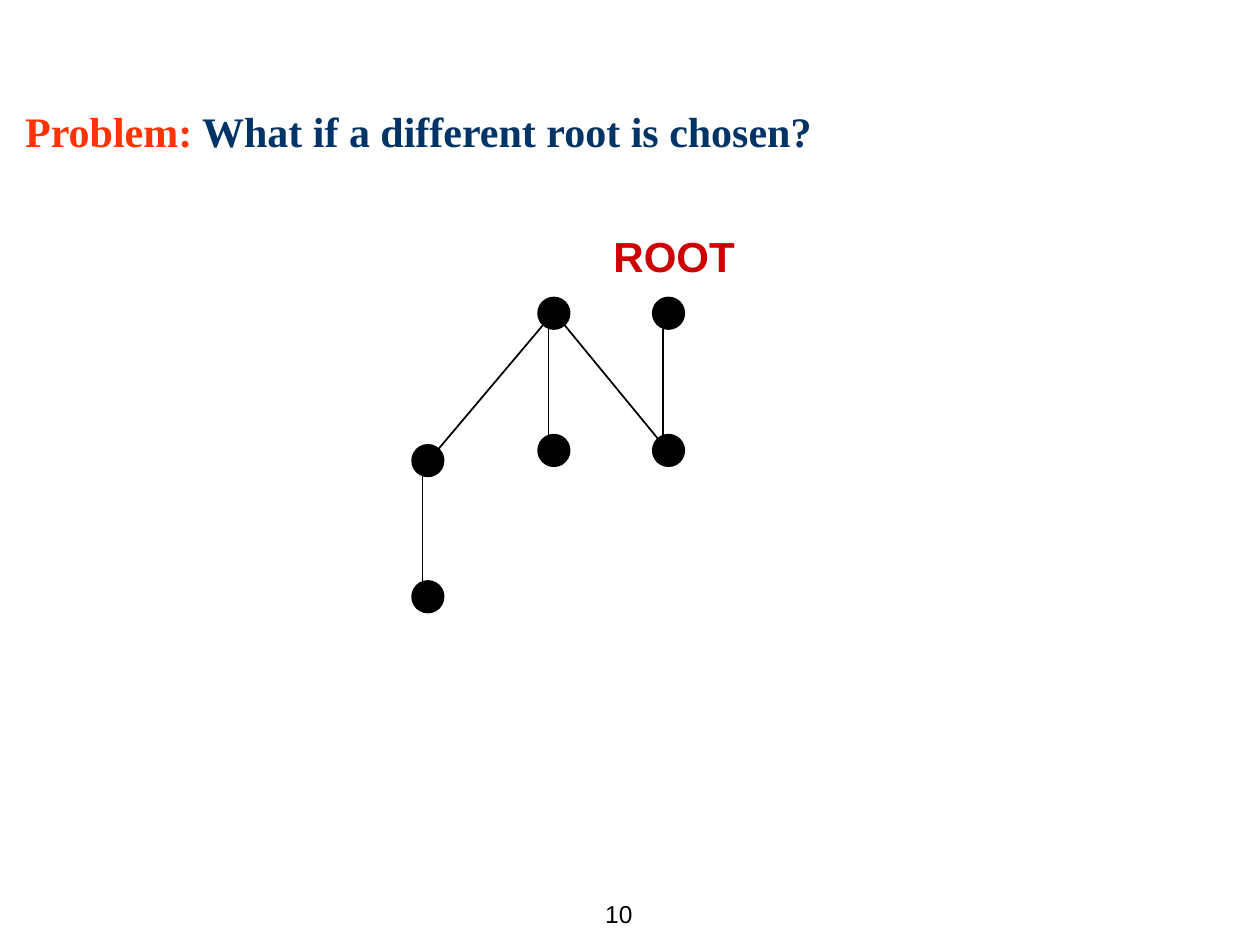
from lxml.etree import SubElement
from pptx import Presentation
from pptx.dml.color import RGBColor
from pptx.enum.shapes import MSO_CONNECTOR as CONNECTOR, MSO_SHAPE as SHAPE
from pptx.enum.text import MSO_ANCHOR as ANCHOR, MSO_AUTO_SIZE as AUTO_SIZE, PP_ALIGN as ALIGN
from pptx.oxml.ns import qn
from pptx.util import Pt

BLACK = RGBColor(0x00, 0x00, 0x00)
ORANGE = RGBColor(0xFF, 0x33, 0x00)
NAVY = RGBColor(0x00, 0x33, 0x66)
RED = RGBColor(0xCC, 0x00, 0x00)

NODE_SIZE = 18
LEFT, CENTER, RIGHT = 235.5, 307.5, 373
TOP, MIDDLE, LOW_MIDDLE, BOTTOM = 170, 248.4, 254.2, 332


def points(*lengths):
    return [Pt(length) for length in lengths]


def add_run(paragraph, text, *, size, font, color, bold=False):
    run = paragraph.add_run()
    run.text = text
    run.font.size = Pt(size)
    run.font.name = font
    run.font.color.rgb = color
    run.font.bold = bold


def add_title(slide):
    title = slide.shapes.title
    title.left, title.top, title.width, title.height = points(7.2, 55.4, 648, 39)
    frame = title.text_frame
    frame.vertical_anchor = ANCHOR.MIDDLE
    frame.auto_size = AUTO_SIZE.NONE
    heading = frame.paragraphs[0]
    heading.alignment = ALIGN.LEFT
    for text, color in (("Problem:", ORANGE), (" What if a different root is chosen?", NAVY)):
        add_run(heading, text, size=24, font="Times New Roman", color=color, bold=True)


def add_label(shapes, text, box, *, align=ALIGN.LEFT, anchor=ANCHOR.TOP,
              fit=AUTO_SIZE.NONE, **style):
    frame = shapes.add_textbox(*points(*box)).text_frame
    frame.word_wrap = False
    frame.auto_size = fit
    frame.vertical_anchor = anchor
    frame.paragraphs[0].alignment = align
    add_run(frame.paragraphs[0], text, font="Arial", **style)


def add_node(shapes, left, top):
    node = shapes.add_shape(SHAPE.OVAL, *points(left, top, NODE_SIZE, NODE_SIZE))
    node.shadow.inherit = False
    node.fill.solid()
    node.fill.fore_color.rgb = BLACK
    node.line.color.rgb = BLACK
    node.line.width = Pt(1)


def add_edge(shapes, start, end):
    edge = shapes.add_connector(CONNECTOR.STRAIGHT, *points(*start, *end))
    edge.line.color.rgb = BLACK
    edge.line.width = Pt(1)
    SubElement(edge._element.spPr, qn("a:effectLst"))


def add_branch(shapes, left, parent_top, child_top):
    add_node(shapes, left, parent_top)
    add_edge(shapes, (left + 6, parent_top + NODE_SIZE), (left + 6, child_top))
    add_node(shapes, left, child_top)


def add_tree(slide):
    tree = slide.shapes.add_group_shape().shapes
    add_branch(tree, LEFT, LOW_MIDDLE, BOTTOM)
    add_branch(tree, CENTER, TOP, MIDDLE)
    add_branch(tree, RIGHT, TOP, MIDDLE)
    add_edge(tree, (CENTER + 12, TOP + 12), (RIGHT + 6, MIDDLE + 6))
    add_edge(tree, (CENTER + 6, TOP + 12), (LEFT + 12, LOW_MIDDLE + 6))
    add_label(tree, "ROOT", (343.5, 128.2, 83.5, 36), fit=AUTO_SIZE.SHAPE_TO_FIT_TEXT,
              size=24, color=RED, bold=True)


def main():
    presentation = Presentation()
    presentation.slide_width, presentation.slide_height = points(720, 540)
    slide = presentation.slides.add_slide(presentation.slide_layouts[5])
    add_label(slide.shapes, "10", (320.4, 504, 48.2, 36), align=ALIGN.RIGHT,
              anchor=ANCHOR.MIDDLE, size=14, color=BLACK)
    add_title(slide)
    add_tree(slide)
    presentation.save("out.pptx")


if __name__ == "__main__":
    main()
